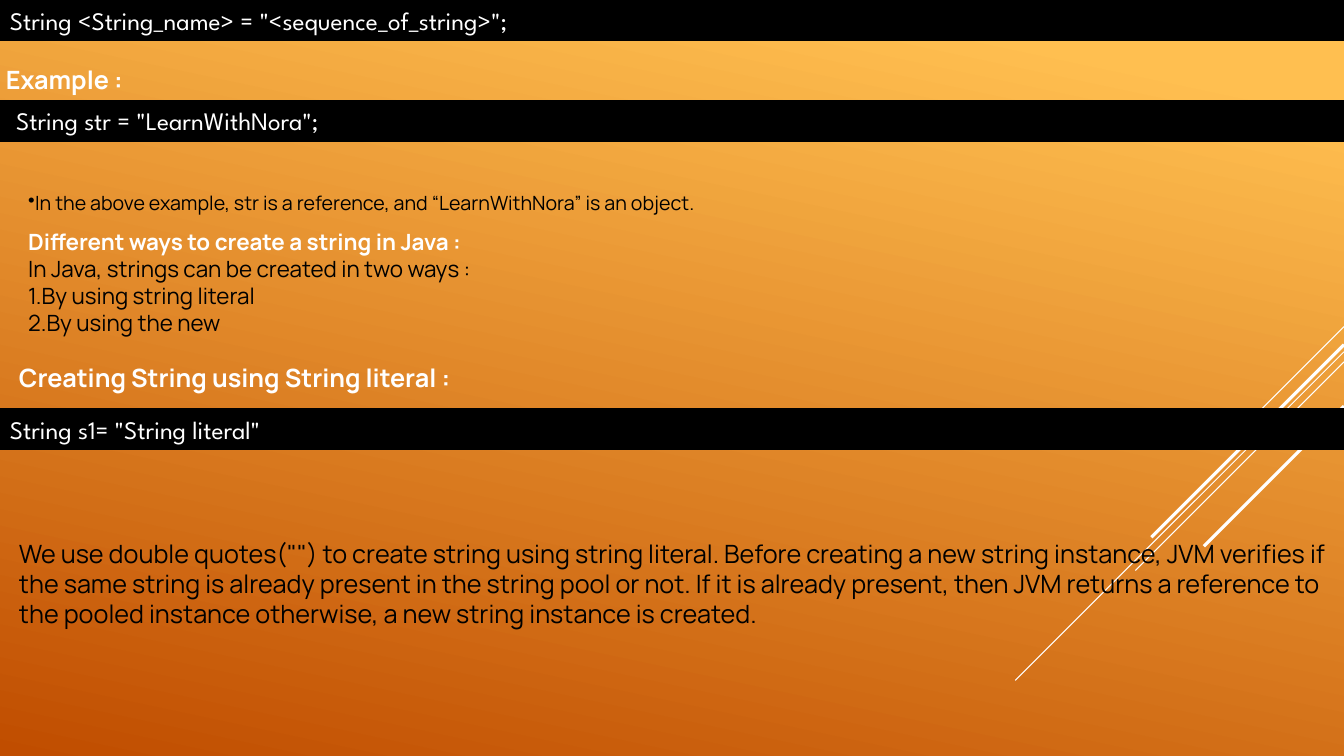
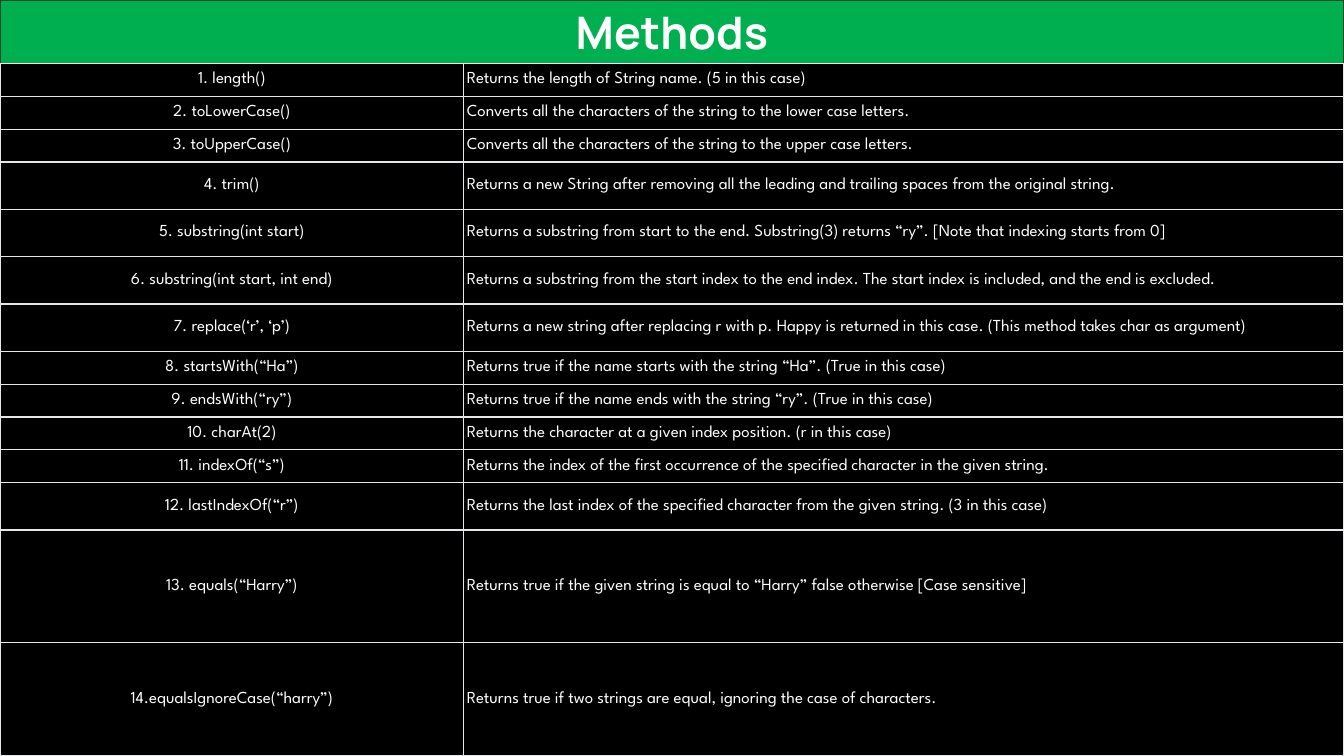
from dataclasses import dataclass

from lxml.etree import SubElement
from pptx import Presentation
from pptx.dml.color import RGBColor
from pptx.enum.shapes import MSO_CONNECTOR, MSO_SHAPE
from pptx.enum.text import MSO_ANCHOR, MSO_AUTO_SIZE, PP_ALIGN
from pptx.oxml.ns import qn
from pptx.util import Inches, Pt

WHITE = RGBColor(0xFF, 0xFF, 0xFF)
BLACK = RGBColor(0x00, 0x00, 0x00)
AMBER = RGBColor(0xFF, 0xBF, 0x50)
RUST = RGBColor(0xC0, 0x4D, 0x00)
GREEN = RGBColor(0x00, 0xB0, 0x50)
DARK_GREEN = RGBColor(0x20, 0x47, 0x21)
GRID_GREY = RGBColor(0xE5, 0xE7, 0xEB)

BODY_FONT = "Manrope"
CODE_FONT = "League Spartan"
SLIDE_WIDTH, SLIDE_HEIGHT = 13.33, 7.5
TITLE_HEIGHT = 0.63
NAME_WIDTH = 4.6


@dataclass(frozen=True)
class Streak:
    top: float
    reach: float
    weight: float


@dataclass(frozen=True)
class Line:
    text: str
    size: float = 18
    color: RGBColor = BLACK
    bold: bool = False
    font: str = BODY_FONT
    align: PP_ALIGN = PP_ALIGN.LEFT
    before: float = 0
    bullet: str = ""
    number: int = 0


@dataclass(frozen=True)
class Block:
    left: float
    top: float
    width: float
    height: float
    lines: tuple[Line, ...]
    inset: float = 0.1


@dataclass(frozen=True)
class CodeBar:
    top: float
    code: str


@dataclass(frozen=True)
class Method:
    name: str
    effect: str
    height: float


STREAKS = (
    Streak(3.24, 1, 0.75),
    Streak(3.49, 3.26, 0.75),
    Streak(3.59, 2.07, 0.75),
    Streak(3.42, 1.91, 2.25),
    Streak(4.03, 1.39, 2.25),
)

CODE_BARS = (
    CodeBar(0, 'String <String_name> = "<sequence_of_string>";'),
    CodeBar(1, ' String str = "LearnWithNora";'),
    CodeBar(4.06, 'String s1= "String literal"'),
)

BLOCKS = (
    Block(-0.04, 0.59, 6.71, 0.4, (Line("Example :", color=WHITE, bold=True),)),
    Block(0, 1.9, 7.6, 1.43, (
        Line("In the above example, str is a reference, and “LearnWithNora” is an object.",
             14, bullet="•"),
        Line("Different ways to create a string in Java :", 16, WHITE, True, before=10),
        Line("In Java, strings can be created in two ways :", 16),
        Line("By using string literal", 16, number=1),
        Line("By using the new", 16, number=2),
    ), inset=0.28),
    Block(0.09, 3.55, 6.73, 0.4,
          (Line("Creating String using String literal :", color=WHITE, bold=True),)),
    Block(0.09, 5.29, 13.24, 1.01, (
        Line('We use double quotes("") to create string using string literal. '
             "Before creating a new string instance, JVM verifies if the same string is "
             "already present in the string pool or not. If it is already present, then "
             "JVM returns a reference to the pooled instance otherwise, a new string "
             "instance is created."),
    )),
)

MEDIUM, TALL = 0.47, 1.12
SHORT = (SLIDE_HEIGHT - TITLE_HEIGHT - 5 * MEDIUM - 2 * TALL) / 7

METHODS = (
    Method("1. length()", "Returns the length of String name. (5 in this case)", SHORT),
    Method("2. toLowerCase()",
           "Converts all the characters of the string to the lower case letters.", SHORT),
    Method("3. toUpperCase()",
           "Converts all the characters of the string to the upper case letters.", SHORT),
    Method("4. trim()", "Returns a new String after removing all the leading and "
           "trailing spaces from the original string.", MEDIUM),
    Method("5. substring(int start)", "Returns a substring from start to the end. "
           "Substring(3) returns “ry”. [Note that indexing starts from 0]", MEDIUM),
    Method("6. substring(int start, int end)", "Returns a substring from the start index "
           "to the end index. The start index is included, and the end is excluded.", MEDIUM),
    Method("7. replace(‘r’, ‘p’)", "Returns a new string after replacing r with p. Happy "
           "is returned in this case. (This method takes char as argument)", MEDIUM),
    Method("8. startsWith(“Ha”)",
           "Returns true if the name starts with the string “Ha”. (True in this case)", SHORT),
    Method("9. endsWith(“ry”)",
           "Returns true if the name ends with the string “ry”. (True in this case)", SHORT),
    Method("10. charAt(2)",
           "Returns the character at a given index position. (r in this case)", SHORT),
    Method("11. indexOf(“s”)", "Returns the index of the first occurrence of the "
           "specified character in the given string.", SHORT),
    Method("12. lastIndexOf(“r”)", "Returns the last index of the specified character "
           "from the given string. (3 in this case)", MEDIUM),
    Method("13. equals(“Harry”)", "Returns true if the given string is equal to “Harry” "
           "false otherwise [Case sensitive]", TALL),
    Method("14.equalsIgnoreCase(“harry”)",
           "Returns true if two strings are equal, ignoring the case of characters.", TALL),
)


def place(shape, left: float, top: float, width: float, height: float) -> None:
    shape.left, shape.top = Inches(left), Inches(top)
    shape.width, shape.height = Inches(width), Inches(height)


def paint(shape, fill: RGBColor, outline: RGBColor) -> None:
    shape.fill.solid()
    shape.fill.fore_color.rgb = fill
    shape.line.color.rgb = outline
    shape.line.width = Pt(1.25)


def write(frame, *lines: Line) -> None:
    for index, line in enumerate(lines):
        paragraph = frame.add_paragraph() if index else frame.paragraphs[0]
        paragraph.text = line.text
        paragraph.alignment = line.align
        paragraph.space_before = Pt(line.before)
        properties = paragraph._p.get_or_add_pPr()
        if line.bullet:
            SubElement(properties, qn("a:buChar"), char=line.bullet)
        elif line.number:
            SubElement(properties, qn("a:buAutoNum"), type="arabicPeriod",
                       startAt=str(line.number))
        font = paragraph.font
        font.name, font.size, font.bold = line.font, Pt(line.size), line.bold
        font.color.rgb = line.color


def set_background(master) -> None:
    fill = master.background.fill
    fill.gradient()
    fill.gradient_angle = 360 - 102
    for stop, position, color in zip(fill.gradient_stops, (0.1, 1), (AMBER, RUST)):
        stop.position = position
        stop.color.rgb = color


def add_streaks(slide) -> None:
    for streak in STREAKS:
        connector = slide.shapes.add_connector(
            MSO_CONNECTOR.STRAIGHT, Inches(SLIDE_WIDTH), Inches(streak.top),
            Inches(SLIDE_WIDTH - streak.reach), Inches(streak.top + streak.reach))
        connector.line.color.rgb = WHITE
        connector.line.width = Pt(streak.weight)
        SubElement(connector._element.spPr, qn("a:effectLst"))


def add_code_bar(slide, bar: CodeBar) -> None:
    shape = slide.shapes.add_shape(
        MSO_SHAPE.RECTANGLE, 0, Inches(bar.top), Inches(SLIDE_WIDTH), Inches(0.4))
    shape.shadow.inherit = False
    paint(shape, BLACK, BLACK)
    shape.text_frame.vertical_anchor = MSO_ANCHOR.TOP
    write(shape.text_frame, Line(bar.code, color=WHITE, font=CODE_FONT))


def add_block(slide, block: Block) -> None:
    box = slide.shapes.add_textbox(0, 0, 0, 0)
    place(box, block.left, block.top, block.width, block.height)
    frame = box.text_frame
    frame.word_wrap = True
    frame.margin_left = Inches(block.inset)
    if len(block.lines) > 1:
        frame.vertical_anchor = MSO_ANCHOR.MIDDLE
        frame.margin_top = frame.margin_right = frame.margin_bottom = 0
    write(frame, *block.lines)


def add_title(slide, text: str) -> None:
    title = slide.shapes.title
    place(title, 0, 0, SLIDE_WIDTH, TITLE_HEIGHT)
    paint(title, GREEN, DARK_GREEN)
    title.text_frame.auto_size = MSO_AUTO_SIZE.NONE
    title.text_frame.vertical_anchor = MSO_ANCHOR.MIDDLE
    write(title.text_frame, Line(text, 32, WHITE, True, align=PP_ALIGN.CENTER))


def fill_cell(cell, text: str, align: PP_ALIGN) -> None:
    properties = cell._tc.get_or_add_tcPr()
    for side in ("a:lnL", "a:lnR", "a:lnT", "a:lnB"):
        border = SubElement(properties, qn(side), w=str(Pt(1)))
        SubElement(SubElement(border, qn("a:solidFill")), qn("a:srgbClr"), val=str(GRID_GREY))
    cell.fill.solid()
    cell.fill.fore_color.rgb = BLACK
    cell.vertical_anchor = MSO_ANCHOR.MIDDLE
    cell.margin_left = cell.margin_right = Inches(0.03)
    cell.margin_top = cell.margin_bottom = Inches(0.01)
    write(cell.text_frame, Line(text, 12, WHITE, font=CODE_FONT, align=align))


def add_methods_table(slide) -> None:
    table = slide.shapes.add_table(
        len(METHODS), 2, 0, Inches(TITLE_HEIGHT), Inches(SLIDE_WIDTH),
        Inches(SLIDE_HEIGHT - TITLE_HEIGHT)).table
    table.first_row = table.horz_banding = False
    table.columns[0].width = Inches(NAME_WIDTH)
    table.columns[1].width = Inches(SLIDE_WIDTH - NAME_WIDTH)
    for index, method in enumerate(METHODS):
        table.rows[index].height = Inches(method.height)
        fill_cell(table.cell(index, 0), method.name, PP_ALIGN.CENTER)
        fill_cell(table.cell(index, 1), method.effect, PP_ALIGN.LEFT)


def main() -> None:
    deck = Presentation()
    deck.slide_width, deck.slide_height = Inches(SLIDE_WIDTH), Inches(SLIDE_HEIGHT)
    set_background(deck.slide_master)
    title_only, blank = deck.slide_layouts[5], deck.slide_layouts[6]

    creation = deck.slides.add_slide(blank)
    add_streaks(creation)
    for bar in CODE_BARS:
        add_code_bar(creation, bar)
    for block in BLOCKS:
        add_block(creation, block)

    methods = deck.slides.add_slide(title_only)
    add_streaks(methods)
    add_methods_table(methods)
    add_title(methods, "Methods")

    deck.save("out.pptx")


if __name__ == "__main__":
    main()
